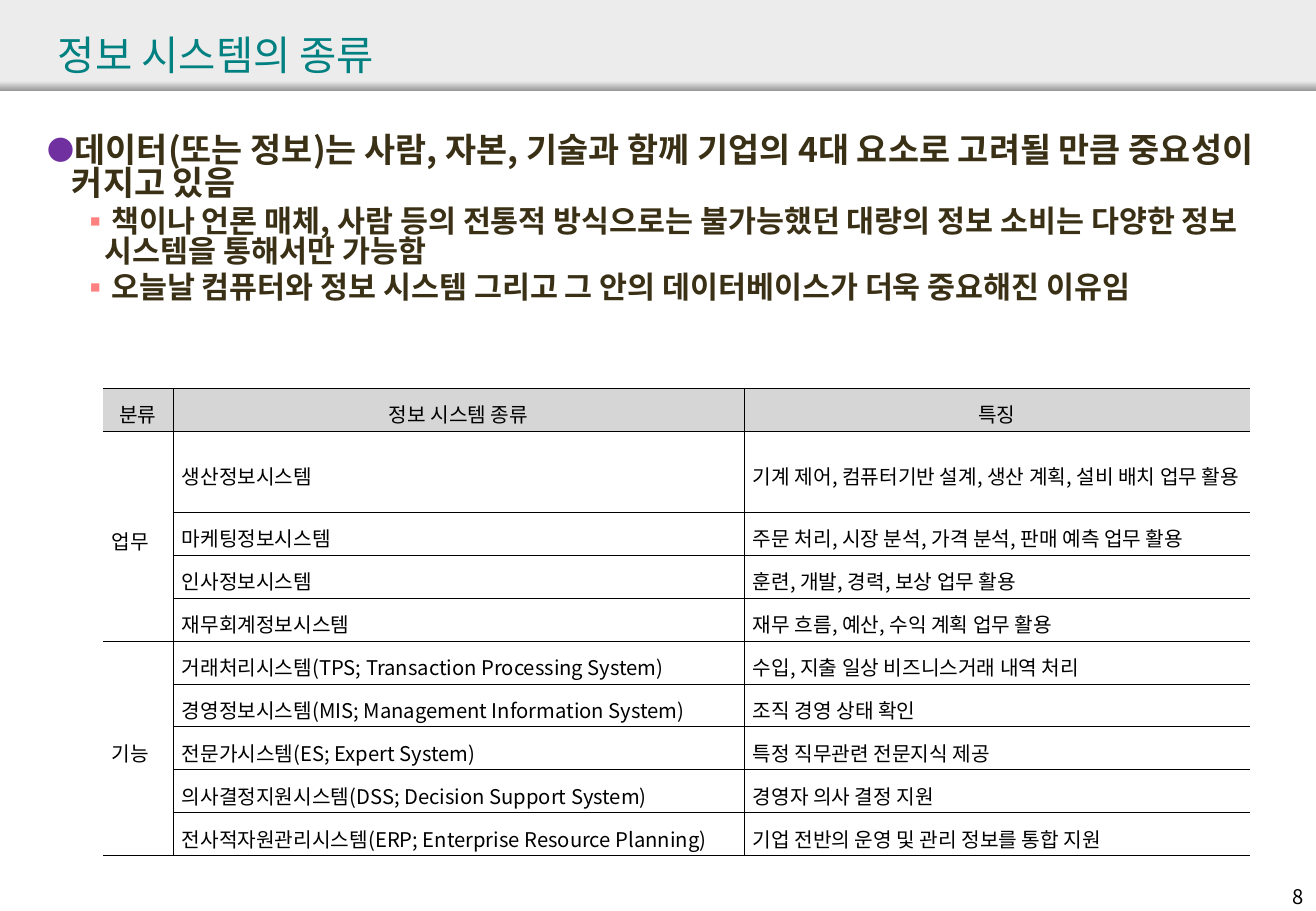
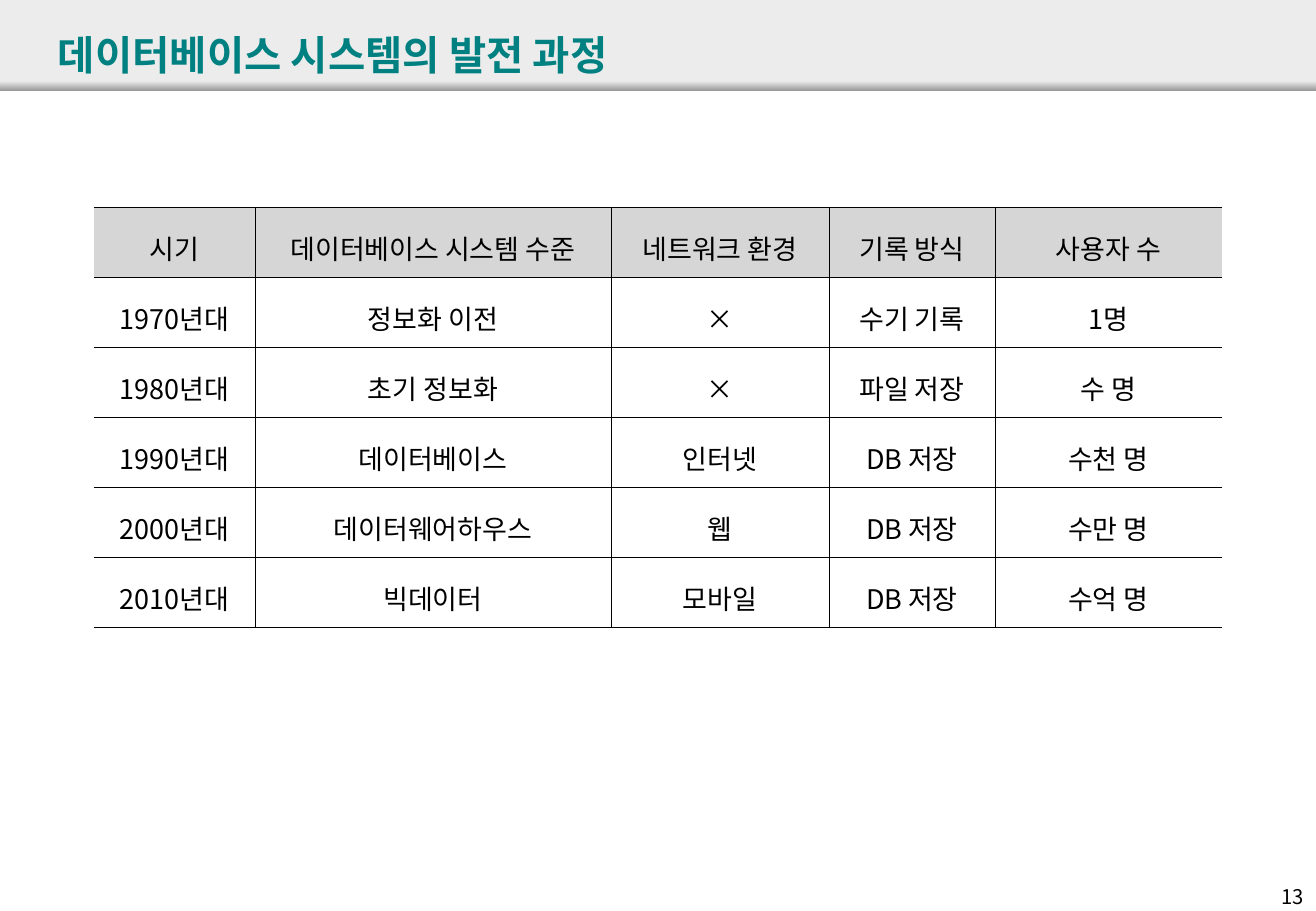
from lxml import etree
from pptx import Presentation
from pptx.dml.color import RGBColor
from pptx.enum.shapes import MSO_SHAPE as SHAPE
from pptx.enum.text import MSO_ANCHOR as ANCHOR, PP_ALIGN as ALIGN
from pptx.oxml.ns import qn
from pptx.util import Emu, Pt

PX = 7526
WIDTH, HEIGHT = 1316, 911
FONT = "Noto Sans CJK KR"
BLACK, TEAL, BROWN = "000000", "008080", "3A3016"
BAND, BAND_EDGE, HEADER = "ECECEC", "979797", "D6D6D6"
BORDER_PT = 0.28

TITLE_BOX = (46, 16, 1205, 76)
NUMBER_BOX = (1249, 878, 67, 36)
BODY_BOX = (36, 130, 1254, 250)

LEVELS = [
    dict(size=20, left=24, mark="●", colour="7030A0", scale=80),
    dict(size=18, left=57, mark="▪", colour="FF8080", scale=100),
]
HANGING = 24

POINTS = [
    (0, "데이터(또는 정보)는 사람, 자본, 기술과 함께 기업의 4대 요소로 고려될 만큼 중요성이 커지고 있음"),
    (1, "책이나 언론 매체, 사람 등의 전통적 방식으로는 불가능했던 대량의 정보 소비는 다양한 정보 시스템을 통해서만 가능함"),
    (1, "오늘날 컴퓨터와 정보 시스템 그리고 그 안의 데이터베이스가 더욱 중요해진 이유임"),
]

SYSTEMS = [
    ("분류", "정보 시스템 종류", "특징"),
    ("업무", "생산정보시스템", "기계 제어, 컴퓨터기반 설계, 생산 계획, 설비 배치 업무 활용"),
    ("", "마케팅정보시스템", "주문 처리, 시장 분석, 가격 분석, 판매 예측 업무 활용"),
    ("", "인사정보시스템", "훈련, 개발, 경력, 보상 업무 활용"),
    ("", "재무회계정보시스템", "재무 흐름, 예산, 수익 계획 업무 활용"),
    ("기능", "거래처리시스템(TPS; Transaction Processing System)", "수입, 지출 일상 비즈니스거래 내역 처리"),
    ("", "경영정보시스템(MIS; Management Information System)", "조직 경영 상태 확인"),
    ("", "전문가시스템(ES; Expert System)", "특정 직무관련 전문지식 제공"),
    ("", "의사결정지원시스템(DSS; Decision Support System)", "경영자 의사 결정 지원"),
    ("", "전사적자원관리시스템(ERP; Enterprise Resource Planning)", "기업 전반의 운영 및 관리 정보를 통합 지원"),
]

HISTORY = [
    ("시기", "데이터베이스 시스템 수준", "네트워크 환경", "기록 방식", "사용자 수"),
    ("1970년대", "정보화 이전", "×", "수기 기록", "1명"),
    ("1980년대", "초기 정보화", "×", "파일 저장", "수 명"),
    ("1990년대", "데이터베이스", "인터넷", "DB 저장", "수천 명"),
    ("2000년대", "데이터웨어하우스", "웹", "DB 저장", "수만 명"),
    ("2010년대", "빅데이터", "모바일", "DB 저장", "수억 명"),
]


def px(n):
    return Emu(n * PX)


def rgb(colour):
    return RGBColor.from_string(colour)


def place(box):
    return [px(n) for n in box]


def sub(parent, tag, **attrs):
    return etree.SubElement(parent, qn(tag), {k: str(v) for k, v in attrs.items()})


def write(p, text, size, colour=BLACK, bold=False):
    p.text = text
    for r in p.runs:
        r.font.name = FONT
        r.font.size = Pt(size)
        r.font.bold = bold
        r.font.color.rgb = rgb(colour)
        sub(r.font._element, "a:ea", typeface=FONT)


def add_text_box(s, box):
    tf = s.shapes.add_textbox(*place(box)).text_frame
    tf.word_wrap = True
    return tf


def add_rect(s, box):
    sp = s.shapes.add_shape(SHAPE.RECTANGLE, *place(box))
    sp.shadow.inherit = False
    sp.line.fill.background()
    return sp


def add_band(s, box, edge=10):
    x, y, w, h = box
    fill = add_rect(s, box).fill
    fill.solid()
    fill.fore_color.rgb = rgb(BAND)
    fill = add_rect(s, (x, y + h - edge, w, edge)).fill
    fill.gradient()
    fill.gradient_angle = 270
    for stop, position, colour in zip(fill.gradient_stops, (0, 1), (BAND, BAND_EDGE)):
        stop.position = position
        stop.color.rgb = rgb(colour)


def add_page(prs, title, number, bold):
    s = prs.slides.add_slide(prs.slide_layouts[6])
    add_band(s, (0, 0, WIDTH, 91))
    tf = add_text_box(s, NUMBER_BOX)
    write(tf.paragraphs[0], str(number), 12)
    tf.paragraphs[0].alignment = ALIGN.RIGHT
    tf = add_text_box(s, TITLE_BOX)
    tf.vertical_anchor = ANCHOR.MIDDLE
    write(tf.paragraphs[0], title, 24, TEAL, bold)
    return s


def add_bullets(s, box, points):
    tf = add_text_box(s, box)
    for i, (depth, text) in enumerate(points):
        p = tf.add_paragraph() if i else tf.paragraphs[0]
        level = LEVELS[depth]
        write(p, text, level["size"], BROWN, True)
        p.level = depth
        p.line_spacing = 0.82
        p.space_before = Pt(level["size"] * 0.2)
        pPr = p._p.get_or_add_pPr()
        pPr.set("marL", str(px(level["left"])))
        pPr.set("indent", str(-px(HANGING)))
        sub(sub(pPr, "a:buClr"), "a:srgbClr", val=level["colour"])
        sub(pPr, "a:buSzPct", val=level["scale"] * 1000)
        sub(pPr, "a:buFont", typeface=FONT)
        sub(pPr, "a:buChar", char=level["mark"])


def set_borders(cell, hidden):
    tcPr = cell._tc.get_or_add_tcPr()
    for side in "LRTB":
        ln = sub(tcPr, f"a:ln{side}", w=Pt(BORDER_PT))
        if side in hidden:
            sub(ln, "a:noFill")
        else:
            sub(sub(ln, "a:solidFill"), "a:srgbClr", val=BLACK)


def add_grid(s, origin, cols, heights, rows, size, align, spans=()):
    box = (*origin, sum(cols), sum(heights))
    table = s.shapes.add_table(len(rows), len(cols), *place(box)).table
    table.first_row = table.horz_banding = False
    for col, w in zip(table.columns, cols):
        col.width = px(w)
    for row, h in zip(table.rows, heights):
        row.height = px(h)
    for i, row in enumerate(rows):
        for j, text in enumerate(row):
            cell = table.cell(i, j)
            set_borders(cell, {0: "L", len(cols) - 1: "R"}.get(j, ""))
            if i:
                cell.fill.background()
            else:
                cell.fill.solid()
                cell.fill.fore_color.rgb = rgb(HEADER)
            cell.vertical_anchor = ANCHOR.MIDDLE
            cell.margin_left = cell.margin_right = px(9)
            cell.margin_top = cell.margin_bottom = px(2)
            p = cell.text_frame.paragraphs[0]
            write(p, text, size)
            p.alignment = align if i else ALIGN.CENTER
            p.line_spacing = 1.3
    for first, last in spans:
        table.cell(first, 0).merge(table.cell(last, 0))


def system_types(prs):
    s = add_page(prs, "정보 시스템의 종류", 8, False)
    add_bullets(s, BODY_BOX, POINTS)
    heights = [43, 81] + [43] * (len(SYSTEMS) - 2)
    add_grid(s, (103, 388), (70, 571, 506), heights, SYSTEMS, 12,
             ALIGN.JUSTIFY, spans=[(1, 4), (5, 9)])


def system_history(prs):
    s = add_page(prs, "데이터베이스 시스템의 발전 과정", 13, True)
    add_grid(s, (94, 207), (161, 356, 218, 166, 227), [70] * len(HISTORY),
             HISTORY, 16, ALIGN.CENTER)


def main():
    prs = Presentation()
    prs.slide_width, prs.slide_height = px(WIDTH), px(HEIGHT)
    system_types(prs)
    system_history(prs)
    prs.save("out.pptx")


if __name__ == "__main__":
    main()
